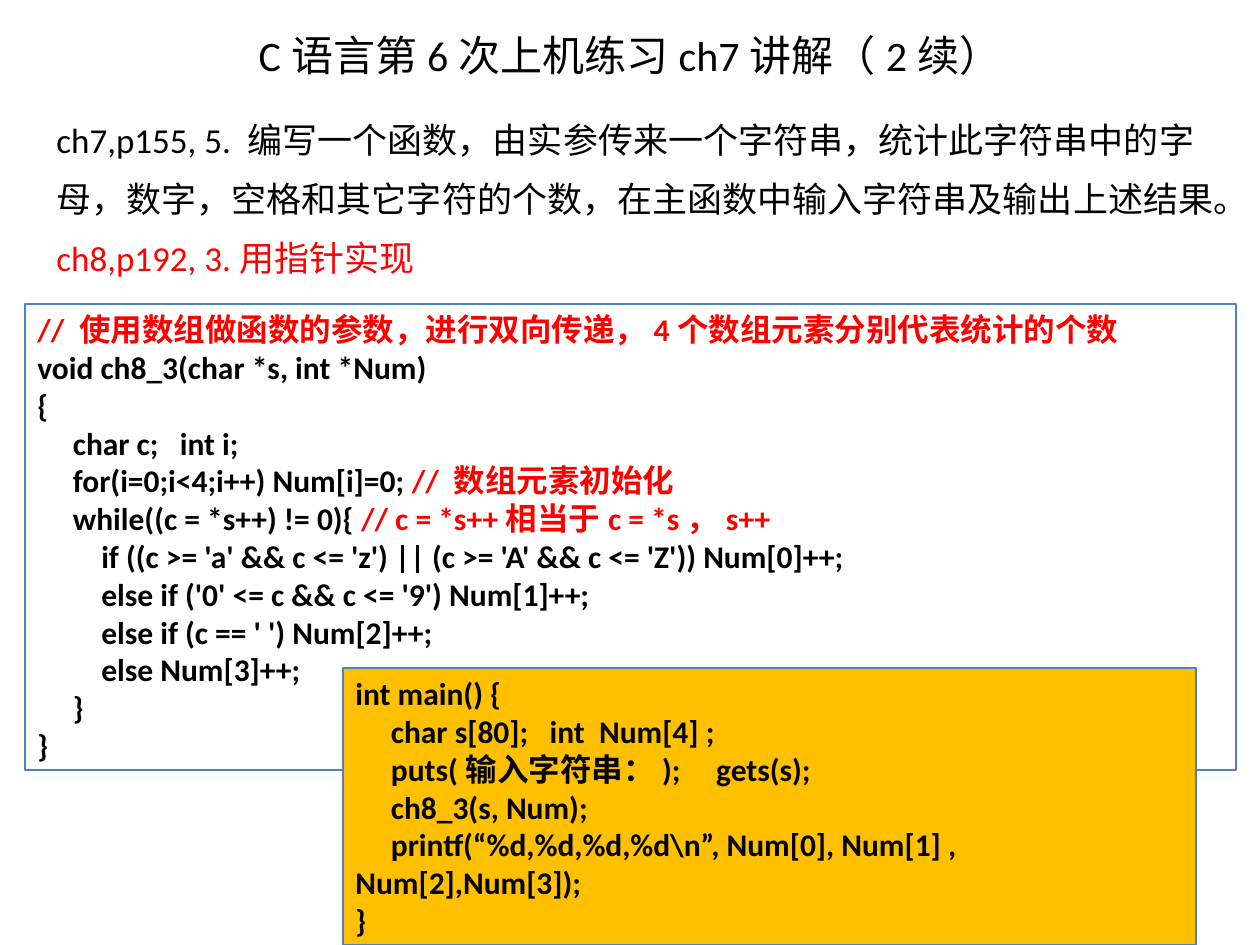
"""Build the slide on counting characters with a C pointer."""
from pptx import Presentation
from pptx.dml.color import RGBColor as Rgb
from pptx.enum.shapes import MSO_SHAPE as Shape
from pptx.enum.text import MSO_ANCHOR as Anchor, MSO_AUTO_SIZE as Fit, PP_ALIGN as Align
from pptx.util import Emu, Pt

SCALE = 914400 / 126
FONT = "Calibri"
HUES = {"ink": "000000", "note": "FF0000", "edge": "4F81BD", "gold": "FFC000"}
TITLE = "C语言第6次上机练习ch7讲解（2续）"
TASK = "ch7,p155, 5. 编写一个函数，由实参传来一个字符串，统计此字符串中的字母，数字，空格和其它字符的个数，在主函数中输入字符串及输出上述结果。"
HINT = "ch8,p192, 3.用指针实现"
COUNT = """// 使用数组做函数的参数，进行双向传递，4个数组元素分别代表统计的个数
void ch8_3(char *s, int *Num)
{
     char c;   int i;
     for(i=0;i<4;i++) Num[i]=0; // 数组元素初始化
     while((c = *s++) != 0){ // c = *s++相当于c = *s，s++
         if ((c >= 'a' && c <= 'z') || (c >= 'A' && c <= 'Z')) Num[0]++;
         else if ('0' <= c && c <= '9') Num[1]++;
         else if (c == ' ') Num[2]++;
         else Num[3]++;
     }
}"""
MAIN = r"""int main() {
     char s[80];   int  Num[4] ;
     puts(输入字符串：);     gets(s);
     ch8_3(s, Num);
     printf(“%d,%d,%d,%d\n”, Num[0], Num[1] , Num[2],Num[3]);
}"""


def px(*vals):
    return [Emu(round(val * SCALE)) for val in vals]


def tint(hue):
    return Rgb.from_string(HUES[hue])


def add_run(para, text, size, hue="ink", bold=False):
    run = para.add_run()
    run.text = text
    font = run.font
    font.name, font.size, font.bold = FONT, Pt(size), bold
    font.color.rgb = tint(hue)


def add_text(slide, box, parts, size, align=Align.LEFT, anchor=Anchor.TOP, space=1.0):
    frame = slide.shapes.add_textbox(*px(*box)).text_frame
    frame.word_wrap = True
    frame.vertical_anchor = anchor
    para = frame.paragraphs[0]
    para.alignment, para.line_spacing = align, space
    for text, hue in parts:
        add_run(para, text, size, hue)


def add_code(slide, box, code, fill=None):
    shape = slide.shapes.add_shape(Shape.RECTANGLE, *px(*box))
    shape.shadow.inherit = False
    if fill:
        shape.fill.solid()
        shape.fill.fore_color.rgb = tint(fill)
    else:
        shape.fill.background()
    shape.line.color.rgb = tint("edge")
    shape.line.width = Pt(0.75)
    frame = shape.text_frame
    frame.word_wrap = True
    frame.auto_size = Fit.SHAPE_TO_FIT_TEXT
    frame.vertical_anchor = Anchor.TOP
    for row, line in enumerate(code.splitlines()):
        para = frame.add_paragraph() if row else frame.paragraphs[0]
        para.alignment = Align.LEFT
        head, mark, tail = line.partition("//")
        for text, hue in ((head, "ink"), (mark + tail, "note")):
            if text:
                add_run(para, text, 18, hue, True)


def main():
    deck = Presentation()
    deck.slide_width, deck.slide_height = px(1260, 945)
    slide = deck.slides.add_slide(deck.slide_layouts[6])
    add_text(slide, (63, -24, 1134, 158), [(TITLE, "ink")], 24, Align.CENTER, Anchor.MIDDLE)
    add_text(slide, (44, 96, 1191, 199), [(TASK, "ink"), (HINT, "note")], 20, space=1.4)
    add_code(slide, (25, 304, 1211, 466), COUNT)
    add_code(slide, (343, 668, 853, 277), MAIN, "gold")
    deck.save("out.pptx")


if __name__ == "__main__":
    main()
